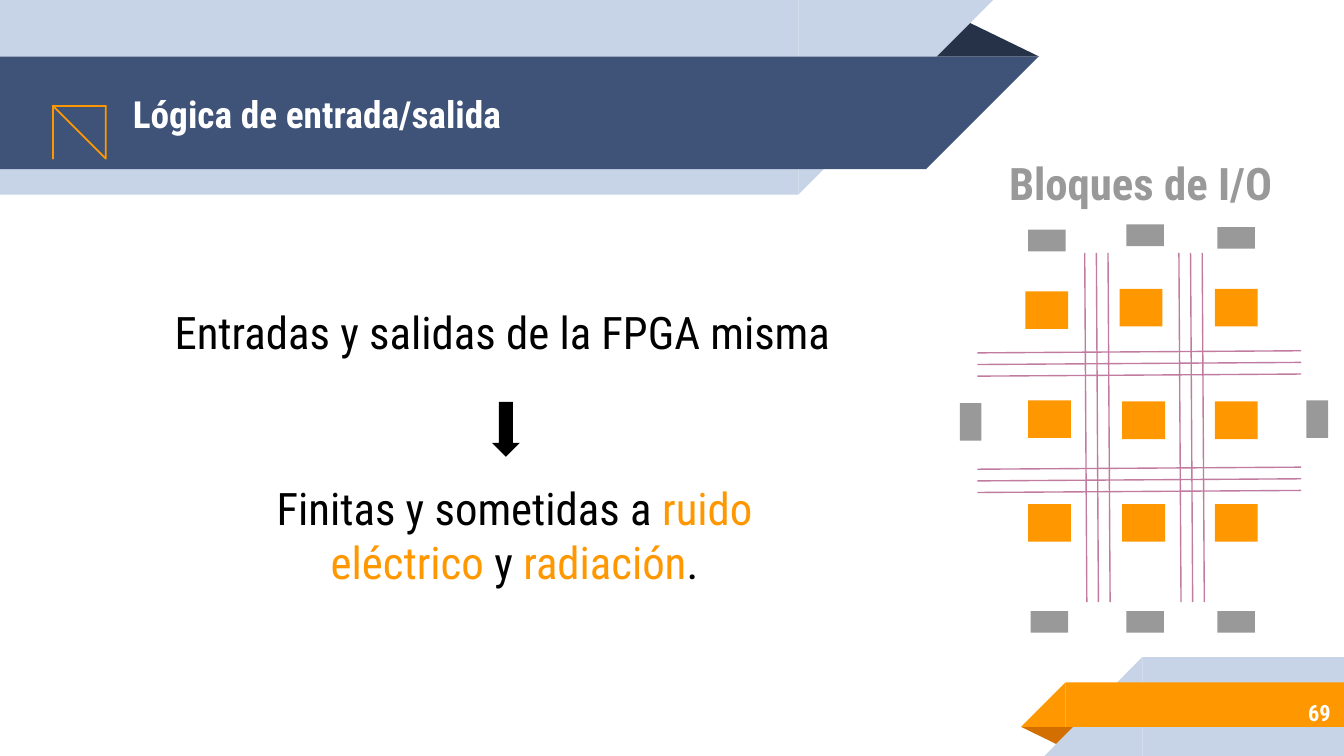
from lxml.etree import SubElement
from pptx import Presentation
from pptx.dml.color import RGBColor
from pptx.enum.shapes import MSO_CONNECTOR, MSO_SHAPE
from pptx.enum.text import MSO_ANCHOR, PP_ALIGN
from pptx.oxml.ns import qn
from pptx.util import Cm, Pt

FONT = "Roboto Condensed"
COLOURS = {
    "white": "FFFFFF", "black": "000000", "pale": "C7D3E6", "blue": "3F5378",
    "navy": "263248", "orange": "FF9800", "rust": "D26F00", "grey": "999999",
    "wire": "C27BA0",
}

# Lengths are in centimetres; boxes are left, top, width, height.
TITLE = "Lógica de entrada/salida"
PAGE_NUMBER = "69"
DIAGRAM_LABEL = "Bloques de I/O"
PREMISE = [("Entradas y salidas de la FPGA misma", "black")]
CONSEQUENCE = [
    ("Finitas y sometidas a ", "black"), ("ruido eléctrico ", "orange"),
    ("y ", "black"), ("radiación", "orange"), (".", "black"),
]

# Slanted bands: left, top, straight width, slant width, height, colour
HEADER_BANDS = [(0, 0, 15.09, 3.68, 3.68, "pale"), (0, 1.07, 17.5, 2.13, 2.13, "blue")]
FOOTER_BANDS = [
    (19.74, 12.42, 3.81, 1.85, 1.87, "pale"),
    (19.3, 12.9, 5.26, 0.84, 0.84, "orange"),
]

ICON_CENTRE = 1.295
LEFT_LEG = [(1.07, 2.39), (0.99, 2.52), (1, 2.55), (1.03, 2.54), (1.12, 2.39)]
RIGHT_LEG = [(2 * ICON_CENTRE - x, y) for x, y in LEFT_LEG]
BOARD = [(0.89, 1.8), (1.7, 1.8), (1.73, 1.83), (1.73, 2.36),
         (1.7, 2.39), (0.89, 2.39), (0.86, 2.36), (0.86, 1.83)]
PANEL = [(0.91, 1.85), (0.91, 2.34), (1.68, 2.34), (1.68, 1.85)]
KNOB = [(1.27, 1.8), (1.27, 1.78), (1.3, 1.75), (1.32, 1.78), (1.32, 1.8)]
TREND = [(1.52, 1.98), (1.32, 2.18), (1.27, 2.18), (1.17, 2.08), (1.04, 2.21)]
TREND_TIP = [(1.4, 1.96), (1.52, 1.96), (1.55, 1.98), (1.55, 2.11)]
ICON_OUTLINES = [(BOARD, True), (KNOB, False), (LEFT_LEG, False), (RIGHT_LEG, False),
                 (PANEL, True), (TREND, False), (TREND_TIP, False)]

LOGIC_SIZE = (0.81, 0.71)
LOGIC_BLOCKS = [
    (19.38, 5.51), (21.16, 5.46), (22.96, 5.46),
    (19.43, 7.57), (21.21, 7.59), (22.96, 7.59),
    (19.43, 9.53), (21.21, 9.53), (22.96, 9.53),
]
IO_SIZE = (0.41, 0.71)
IO_SIDES = [(18.14, 7.62), (24.69, 7.57)]
IO_ENDS = [(19.58, 4.19), (21.44, 4.09), (23.16, 4.14),
           (19.63, 11.4), (21.44, 11.4), (23.16, 11.4)]
WIRES_PER_BUS = 3
WIRE_GAP = 0.22
WIRE_DRIFT = 0.04
BUS_COLUMNS, COLUMN_SPAN = (20.5, 22.28), (4.78, 11.38)
BUS_ROWS, ROW_SPAN = (6.67, 8.87), (18.47, 24.59)


def colour(name):
    return RGBColor.from_string(COLOURS[name])


def add_block(page, kind, box, fill, rotation=0, flip=None, adjust=None):
    shape = page.shapes.add_shape(kind, *map(Cm, box))
    shape.shadow.inherit = False
    shape.fill.solid()
    shape.fill.fore_color.rgb = colour(fill)
    shape.line.fill.background()
    shape.rotation = rotation
    if flip:
        shape._element.spPr.find(qn("a:xfrm")).set(flip, "1")
    if adjust is not None:
        shape.adjustments[0] = adjust


def add_text(page, box, spans, size=24, bold=False, align=PP_ALIGN.LEFT,
             anchor=MSO_ANCHOR.TOP, spacing=1):
    frame = page.shapes.add_textbox(*map(Cm, box)).text_frame
    frame.word_wrap = True
    frame.vertical_anchor = anchor
    frame.margin_left = frame.margin_right = Cm(0.25)
    frame.margin_top = frame.margin_bottom = Cm(0.25)
    para = frame.paragraphs[0]
    para.alignment = align
    para.line_spacing = spacing
    for text, shade in spans:
        span = para.add_run()
        span.text = text
        span.font.name = FONT
        span.font.size = Pt(size)
        span.font.bold = bold
        span.font.color.rgb = colour(shade)


def add_outline(page, points, closed):
    builder = page.shapes.build_freeform(*points[0], scale=Cm(1))
    builder.add_line_segments(points[1:], close=closed)
    shape = builder.convert_to_shape()
    shape.shadow.inherit = False
    shape.fill.background()
    shape.line.color.rgb = colour("orange")
    shape.line.width = Pt(0.96)


def add_wire(page, *ends):
    wire = page.shapes.add_connector(MSO_CONNECTOR.STRAIGHT, *map(Cm, ends))
    wire.line.color.rgb = colour("wire")
    wire.line.width = Pt(0.75)
    SubElement(wire._element.spPr, qn("a:effectLst"))


def add_bands(page):
    add_block(page, MSO_SHAPE.ISOSCELES_TRIANGLE, (17.48, 0.36, 2.16, 0.71), "navy",
              adjust=0.324)
    for left, top, width, slant, height, fill in HEADER_BANDS:
        add_block(page, MSO_SHAPE.RECTANGLE, (left, top, width, height), fill)
        add_block(page, MSO_SHAPE.RIGHT_TRIANGLE, (left + width, top, slant, height),
                  fill, flip="flipV")
    add_block(page, MSO_SHAPE.ISOSCELES_TRIANGLE, (19.3, 13.74, 1.09, 0.36), "rust",
              rotation=180, adjust=0.324)
    for left, top, width, slant, height, fill in FOOTER_BANDS:
        add_block(page, MSO_SHAPE.RECTANGLE, (left + slant, top, width, height), fill)
        add_block(page, MSO_SHAPE.RIGHT_TRIANGLE, (left, top, slant, height),
                  fill, flip="flipH")


def add_fpga_diagram(page):
    for place in LOGIC_BLOCKS:
        add_block(page, MSO_SHAPE.RECTANGLE, place + LOGIC_SIZE, "orange")
    for index in range(WIRES_PER_BUS):
        for start in BUS_COLUMNS:
            x = start + index * WIRE_GAP
            add_wire(page, x, COLUMN_SPAN[0], x + WIRE_DRIFT, COLUMN_SPAN[1])
        for start in BUS_ROWS:
            y = start + index * WIRE_GAP
            add_wire(page, ROW_SPAN[0], y, ROW_SPAN[1], y - WIRE_DRIFT)
    for places, rotation in ((IO_SIDES, 0), (IO_ENDS, 270)):
        for place in places:
            add_block(page, MSO_SHAPE.RECTANGLE, place + IO_SIZE, "grey", rotation)
    add_text(page, (18.82, 2.54, 5.97, 1.7), [(DIAGRAM_LABEL, "grey")], bold=True,
             spacing=1.15)


def main():
    deck = Presentation()
    deck.slide_width, deck.slide_height = Cm(25.4), Cm(14.29)
    page = deck.slides.add_slide(deck.slide_layouts[6])
    add_bands(page)
    add_text(page, (2.26, 1.09, 14.6, 2.13), [(TITLE, "white")], size=20, bold=True,
             anchor=MSO_ANCHOR.MIDDLE)
    add_text(page, (21.26, 13.03, 4.14, 0.89), [(PAGE_NUMBER, "white")], size=12,
             bold=True, align=PP_ALIGN.RIGHT, anchor=MSO_ANCHOR.MIDDLE)
    for points, closed in ICON_OUTLINES:
        add_outline(page, points, closed)
    add_text(page, (3.05, 5.51, 13.34, 1.3), PREMISE)
    add_block(page, MSO_SHAPE.RIGHT_ARROW, (9.04, 7.85, 1.04, 0.53), "black", rotation=90)
    add_text(page, (3.73, 8.84, 11.99, 2.13), CONSEQUENCE, align=PP_ALIGN.CENTER)
    add_fpga_diagram(page)
    deck.save("out.pptx")


if __name__ == "__main__":
    main()
